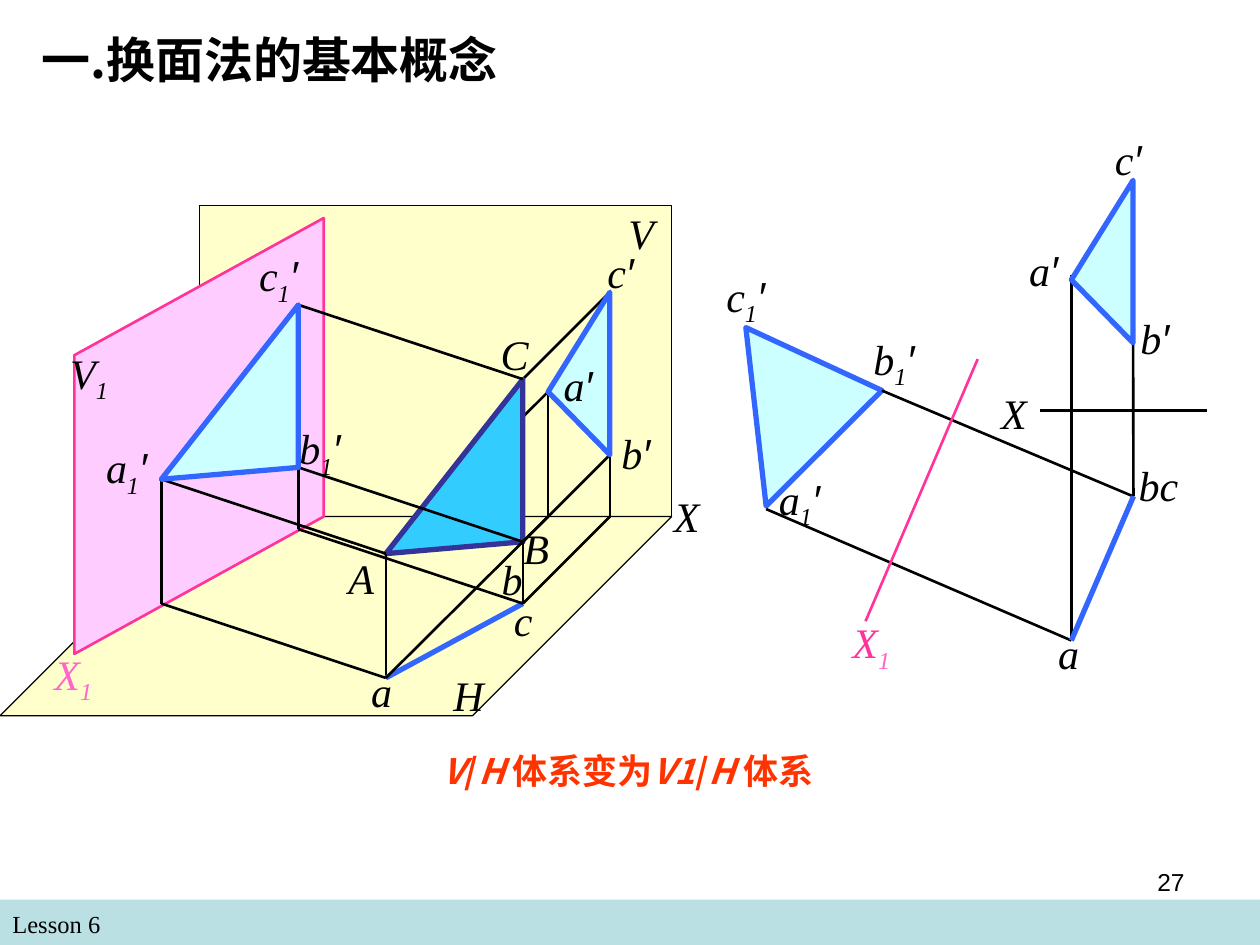
from itertools import groupby

from lxml.etree import SubElement
from pptx import Presentation
from pptx.dml.color import RGBColor as RGB
from pptx.enum.shapes import MSO_CONNECTOR as CONNECTOR, MSO_SHAPE as SHAPE
from pptx.enum.text import MSO_ANCHOR as ANCHOR, MSO_AUTO_SIZE as AUTO_SIZE, PP_ALIGN as ALIGN
from pptx.oxml.ns import qn
from pptx.util import Pt

THEME = {
    "serif": "Times New Roman", "sans": "Arial", "cjk": "Noto Sans CJK SC",
    "title": 28, "label": 24, "caption": 20, "footer": 14,
    "ink": "000000", "caption_ink": "FF3300", "band": "BBE0E3",
    # line colour, line width, fill
    "strokes": {
        "plane": ("000000", 0.75, "FFFFCC"),
        "new_plane": ("FF3399", 1.5, "FFCCFF"),
        "new_axis": ("FF3399", 1.5, None),
        "ray": ("000000", 1.5, None),
        "trace": ("3366FF", 3, None),
        "projection": ("3366FF", 3, "CCFFFF"),
        "triangle": ("333399", 3, "33CCFF"),
    },
    # letter colour, subscript colour
    "labels": {"ink": ("000000", "000000"), "axis": ("FF3399", "FF66CC"),
               "pink": ("FF66CC", "FF66CC")},
}


def add_run(paragraph, text, face, size, colour, baseline=None, **font_format):
    run = paragraph.add_run()
    run.text = text
    for key, value in {"name": face, "size": Pt(size), **font_format}.items():
        setattr(run.font, key, value)
    run.font.color.rgb = RGB.from_string(colour)
    properties = run._r.get_or_add_rPr()
    SubElement(properties, qn("a:ea")).set("typeface", face)
    if baseline:
        properties.set("baseline", str(baseline))


def add_text(x, y, width, height):
    """Add an empty wrapping text box and return its paragraph."""
    frame = slide.shapes.add_textbox(Pt(x), Pt(y), Pt(width), Pt(height)).text_frame
    frame.word_wrap = True
    return frame.paragraphs[0]


prs = Presentation()
prs.slide_width, prs.slide_height = Pt(720), Pt(540)
slide = prs.slides.add_slide(prs.slide_layouts[5])

# Footer
band = slide.shapes.add_shape(SHAPE.RECTANGLE, 0, Pt(514), Pt(720), Pt(26))
band.shadow.inherit = False
band.fill.solid()
band.fill.fore_color.rgb = RGB.from_string(THEME["band"])
band.line.fill.background()
add_run(add_text(0, 516, 348, 24), "Lesson 6", THEME["serif"], THEME["footer"], THEME["ink"])
page = add_text(516, 492, 168, 37)
page.alignment = ALIGN.RIGHT
add_run(page, "27", THEME["sans"], THEME["footer"], THEME["ink"])

# Title
title = slide.shapes.title
title.left, title.top, title.width, title.height = Pt(16.5), Pt(13.5), Pt(372), Pt(41)
heading = title.text_frame
heading.auto_size, heading.vertical_anchor = AUTO_SIZE.NONE, ANCHOR.TOP
heading.paragraphs[0].alignment = ALIGN.LEFT
add_run(heading.paragraphs[0], "一.换面法的基本概念", THEME["cjk"], THEME["title"],
        THEME["ink"], bold=True)

# Points of the spatial view: triangle, its H projection, then V projection
A, B, C = (220.5, 316.4), (298.8, 309.6), (298.8, 216.7)
a, bc = (220.5, 387.4), (298.8, 344.9)
a_v, b_v, c_v = (313.2, 223.9), (348.5, 259.9), (348.5, 167)
a_foot, b_foot = (313.2, 295.2), (348.5, 295.2)
# Projecting onto V1 moves every point by the same step
A1, B1, C1, a1_foot, b1_foot = [(x - 128.3, y - 42.5) for x, y in (A, B, C, a, bc)]

# Points of the flat view: the V projection is the same triangle, moved
a_flat, b_flat, c_flat = [(x + 299, y - 64) for x, y in (a_v, b_v, c_v)]
a_low, bc_low = (612.2, 366), (647.7, 283.7)
a1_flat, b1_flat, c1_flat = (437.8, 289.2), (504, 223.2), (426.2, 187.2)

strokes = [
    ("plane", (113.8, 117.4), (383.8, 117.4), (383.8, 295.2), (113.8, 295.2)),
    ("plane", (113.8, 295.2), (0, 409), (270, 409), (383.8, 295.2)),
    ("ray", c_v, C), ("ray", a_v, A),
    ("triangle", C, B, A),
    ("ray", b_v, b_foot), ("ray", a_v, a_foot), ("ray", A, a), ("trace", a, bc),
    ("ray", b_foot, bc), ("ray", a_foot, a), ("ray", b_v, B), ("ray", B, bc),
    ("projection", c_v, b_v, a_v),
    ("new_plane", (42.5, 373.7), (185, 295.2), (185, 124.6), (42.5, 203)),
    ("ray", C, C1), ("ray", B, B1), ("ray", A, A1), ("ray", a, a1_foot), ("ray", bc, b1_foot),
    ("ray", A1, a1_foot), ("ray", B1, b1_foot),
    ("projection", C1, B1, A1),
    ("projection", c1_flat, a1_flat, b1_flat),
    ("ray", b1_flat, bc_low), ("ray", (437.8, 290.9), a_low),
    ("new_axis", (558.7, 205.2), (494.6, 355)),
    ("ray", (594, 234.7), (690, 234.7)),
    ("ray", b_flat, bc_low), ("ray", (612.2, 157), a_low), ("trace", bc_low, a_low),
    ("projection", c_flat, b_flat, a_flat),
]
for style, *corners in strokes:
    colour, weight, fill = THEME["strokes"][style]
    (start_x, start_y), *others = [(Pt(x), Pt(y)) for x, y in corners]
    if len(corners) == 2:
        stroke = slide.shapes.add_connector(CONNECTOR.STRAIGHT, start_x, start_y, *others[0])
        SubElement(stroke._element.spPr, qn("a:effectLst"))
    else:
        outline = slide.shapes.build_freeform(start_x, start_y)
        outline.add_line_segments(others, close=True)
        stroke = outline.convert_to_shape()
        stroke.shadow.inherit = False
        stroke.fill.solid()
        stroke.fill.fore_color.rgb = RGB.from_string(fill)
    stroke.line.color.rgb = RGB.from_string(colour)
    stroke.line.width = Pt(weight)

# Labels: text, colours, left, top, width
labels = [
    ("V", "ink", 352, 115, 30), ("A", "ink", 192, 312, 30), ("H", "ink", 252, 379, 30),
    ("C", "ink", 279, 184, 30), ("B", "ink", 292, 295, 30), ("X", "ink", 378, 277, 36),
    ("c′", "ink", 340, 137.5, 42), ("b′", "ink", 348, 241, 42), ("a′", "ink", 315, 202, 38),
    ("a", "ink", 205, 377, 32), ("b", "ink", 279.5, 312.5, 32), ("c", "ink", 286.5, 336, 38),
    ("V1", "ink", 33, 195, 48), ("X1", "pink", 24, 367, 60),
    ("c1′", "ink", 141, 139, 50), ("b1′", "ink", 164, 238, 78), ("a1′", "ink", 53.5, 249, 63),
    ("a1′", "ink", 438, 267, 60), ("c1′", "ink", 408, 151, 58), ("b1′", "ink", 492, 187, 65),
    ("X1", "axis", 480, 349, 60), ("X", "ink", 565, 218, 36),
    ("bc", "ink", 643.5, 259, 48), ("a", "ink", 597.5, 355, 48), ("b′", "ink", 644.5, 175, 48),
    ("a′", "ink", 581, 136, 48), ("c′", "ink", 630, 72.5, 48),
]
for text, colours, x, y, width in labels:
    letter, subscript = THEME["labels"][colours]
    paragraph = add_text(x, y, width, 40 if "1" in text else 36)
    for mark, part in groupby(text, lambda char: char if char in "1′" else ""):
        add_run(paragraph, "".join(part), THEME["sans" if mark == "′" else "serif"],
                THEME["label"], subscript if mark == "1" else letter,
                baseline=-25000 if mark == "1" else None, italic=True)

# Caption
caption = add_text(246, 425, 282, 32)
for part, italic in [("V", True), ("/", False), ("H ", True), ("体系变为", False),
                     ("V1", True), ("/", False), ("H ", True), ("体系", False)]:
    add_run(caption, part, THEME["cjk"], THEME["caption"], THEME["caption_ink"],
            bold=True, italic=italic)

prs.save("out.pptx")
